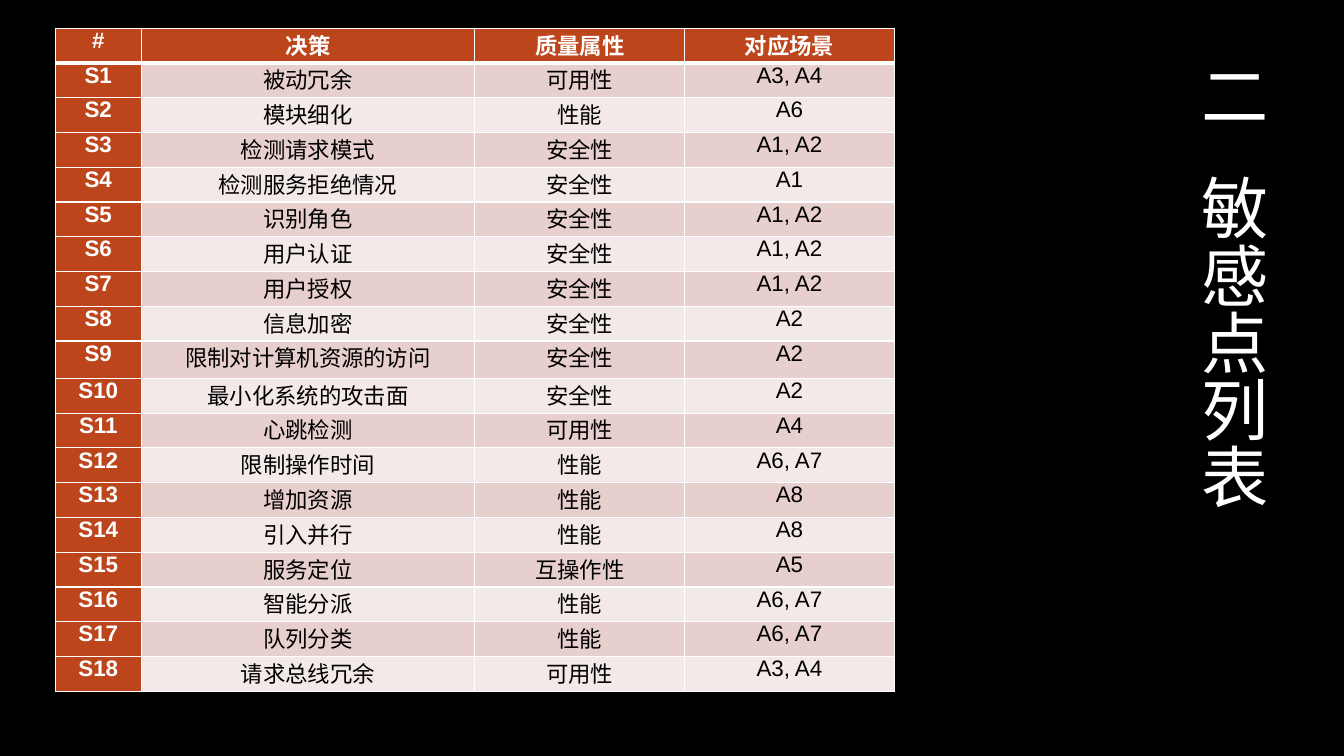
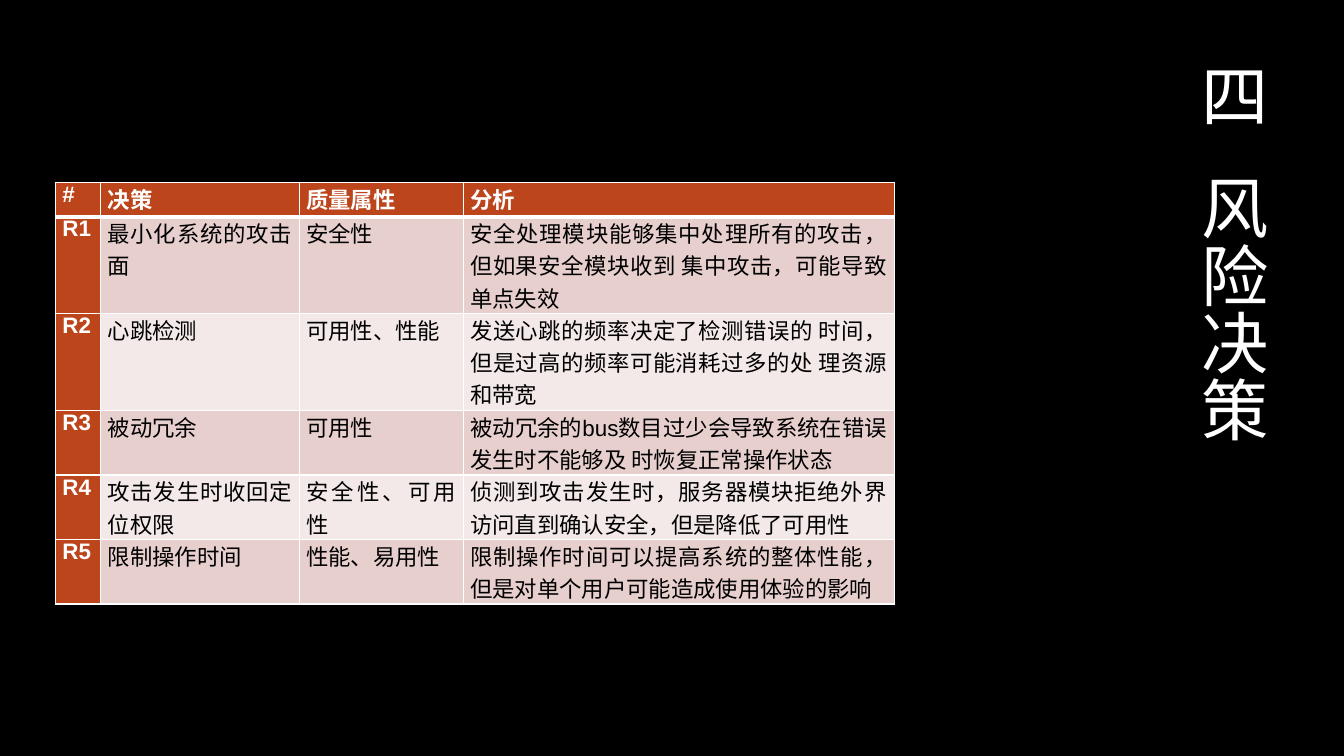
"""Two dark slides, each with a banded table and a vertical title."""
from pptx import Presentation, util as u
from pptx.dml.color import RGBColor
from pptx.enum import text
from pptx.oxml import parse_xml
from pptx.oxml.ns import nsdecls

DECISIONS = [
    ("#", "决策", "质量属性", "对应场景"),
    ("S1", "被动冗余", "可用性", "A3, A4"),
    ("S2", "模块细化", "性能", "A6"),
    ("S3", "检测请求模式", "安全性", "A1, A2"),
    ("S4", "检测服务拒绝情况", "安全性", "A1"),
    ("S5", "识别角色", "安全性", "A1, A2"),
    ("S6", "用户认证", "安全性", "A1, A2"),
    ("S7", "用户授权", "安全性", "A1, A2"),
    ("S8", "信息加密", "安全性", "A2"),
    ("S9", "限制对计算机资源的访问", "安全性", "A2"),
    ("S10", "最小化系统的攻击面", "安全性", "A2"),
    ("S11", "心跳检测", "可用性", "A4"),
    ("S12", "限制操作时间", "性能", "A6, A7"),
    ("S13", "增加资源", "性能", "A8"),
    ("S14", "引入并行", "性能", "A8"),
    ("S15", "服务定位", "互操作性", "A5"),
    ("S16", "智能分派", "性能", "A6, A7"),
    ("S17", "队列分类", "性能", "A6, A7"),
    ("S18", "请求总线冗余", "可用性", "A3, A4"),
]
RISKS = [
    ("#", "决策", "质量属性", "分析"),
    ("R1", "最小化系统的攻击面", "安全性",
     "安全处理模块能够集中处理所有的攻击，但如果安全模块收到 集中攻击，可能导致单点失效"),
    ("R2", "心跳检测", "可用性、性能",
     "发送心跳的频率决定了检测错误的 时间，但是过高的频率可能消耗过多的处 理资源和带宽"),
    ("R3", "被动冗余", "可用性",
     "被动冗余的bus数目过少会导致系统在错误发生时不能够及 时恢复正常操作状态"),
    ("R4", "攻击发生时收回定位权限", "安全性、可用性",
     "侦测到攻击发生时，服务器模块拒绝外界 访问直到确认安全，但是降低了可用性"),
    ("R5", "限制操作时间", "性能、易用性",
     "限制操作时间可以提高系统的整体性能，但是对单个用户可能造成使用体验的影响"),
]


def color(value):
    """Turn a hex string into a colour."""
    return RGBColor.from_string(value)


class Deck:
    """Hold the shared style and the current slide."""

    BLACK, WHITE, RUST = "000000", "FFFFFF", "BC451B"
    BANDS = ("F3E9E8", "E7CFCD")
    TITLE_FONT, TABLE_FONT = "Noto Sans CJK SC", "Arial"
    LEFT, WIDTH = 0.55, 8.32

    def __init__(self):
        """Start a wide presentation on a black master."""
        self.file = Presentation()
        self.file.slide_width, self.file.slide_height = u.Inches(13.33), u.Inches(7.5)
        fill = self.file.slide_master.background.fill
        fill.solid()
        fill.fore_color.rgb = color(self.BLACK)
        self.page = None

    def add_page(self, number, name):
        """Add a slide whose title runs down the right side."""
        self.page = self.file.slides.add_slide(self.file.slide_layouts[5])
        title = self.page.shapes.title
        title.left, title.top = u.Inches(11.63), u.Inches(0.57)
        title.width, title.height = u.Inches(1.01), u.Inches(0.67 * (len(name) + 2))
        frame = title.text_frame
        frame.word_wrap = False
        frame.auto_size = text.MSO_AUTO_SIZE.SHAPE_TO_FIT_TEXT
        frame.vertical_anchor = text.MSO_ANCHOR.TOP
        frame._txBody.bodyPr.set("vert", "eaVert")
        para = frame.paragraphs[0]
        para.alignment = text.PP_ALIGN.LEFT
        para.line_spacing = 0.9
        self.style(para.font, self.TITLE_FONT, 48, self.WHITE)
        for part in (number, " ", name):
            span = para.add_run()
            span.text = part
            if part == " ":
                span._r.get_or_add_rPr().set("spc", "2150")

    def style(self, font, name, size, ink, bold=False):
        """Set every font property in one place."""
        font.name, font.size, font.bold = name, u.Pt(size), bold
        font.color.rgb = color(ink)

    def add_table(self, top, columns, heights, rows, alignment):
        """Add a banded table with a coloured head row and first column."""
        frame = self.page.shapes.add_table(
            len(rows), len(columns), u.Inches(self.LEFT), u.Inches(top),
            u.Inches(self.WIDTH), u.Inches(sum(heights)))
        table = frame.table
        for column, share in zip(table.columns, columns):
            column.width = u.Inches(self.WIDTH * share / sum(columns))
        for row, height in zip(table.rows, heights):
            row.height = u.Inches(height)
        for i, words in enumerate(rows):
            for j, word in enumerate(words):
                self.fill_cell(table.cell(i, j), word, i, j, alignment)

    def fill_cell(self, cell, word, i, j, alignment):
        """Write one cell and give it borders and a fill."""
        head = i == 0 or j == 0
        cell.text = word
        cell.margin_left = cell.margin_right = u.Inches(0.07)
        cell.margin_top = cell.margin_bottom = 0
        para = cell.text_frame.paragraphs[0]
        para.alignment = alignment
        self.style(para.font, self.TABLE_FONT, 16, self.WHITE if head else self.BLACK, head)
        for side in "LRTB":
            heavy = (i == 0 and side == "B") or (i == 1 and side == "T")
            cell._tc.get_or_add_tcPr().append(parse_xml(
                f'<a:ln{side} {nsdecls("a")} w="{u.Pt(3 if heavy else 1)}"><a:solidFill>'
                f'<a:srgbClr val="{self.WHITE}"/></a:solidFill></a:ln{side}>'))
        cell.fill.solid()
        cell.fill.fore_color.rgb = color(self.RUST if head else self.BANDS[i % 2])


def main():
    """Build both slides and save them."""
    deck = Deck()
    deck.add_page("二", "敏感点列表")
    heights = [0.37 if row[0] == "S9" else 0.345 for row in DECISIONS]
    deck.add_table(0.28, (0.85, 3.31, 2.08, 2.08), heights, DECISIONS, text.PP_ALIGN.CENTER)
    deck.add_page("四", "风险决策")
    heights = [0.34] + [0.32 * lines for lines in (3, 3, 2, 2, 2)]
    deck.add_table(1.81, (0.45, 1.97, 1.63, 4.28), heights, RISKS, text.PP_ALIGN.JUSTIFY)
    deck.file.save("out.pptx")


if __name__ == "__main__":
    main()
